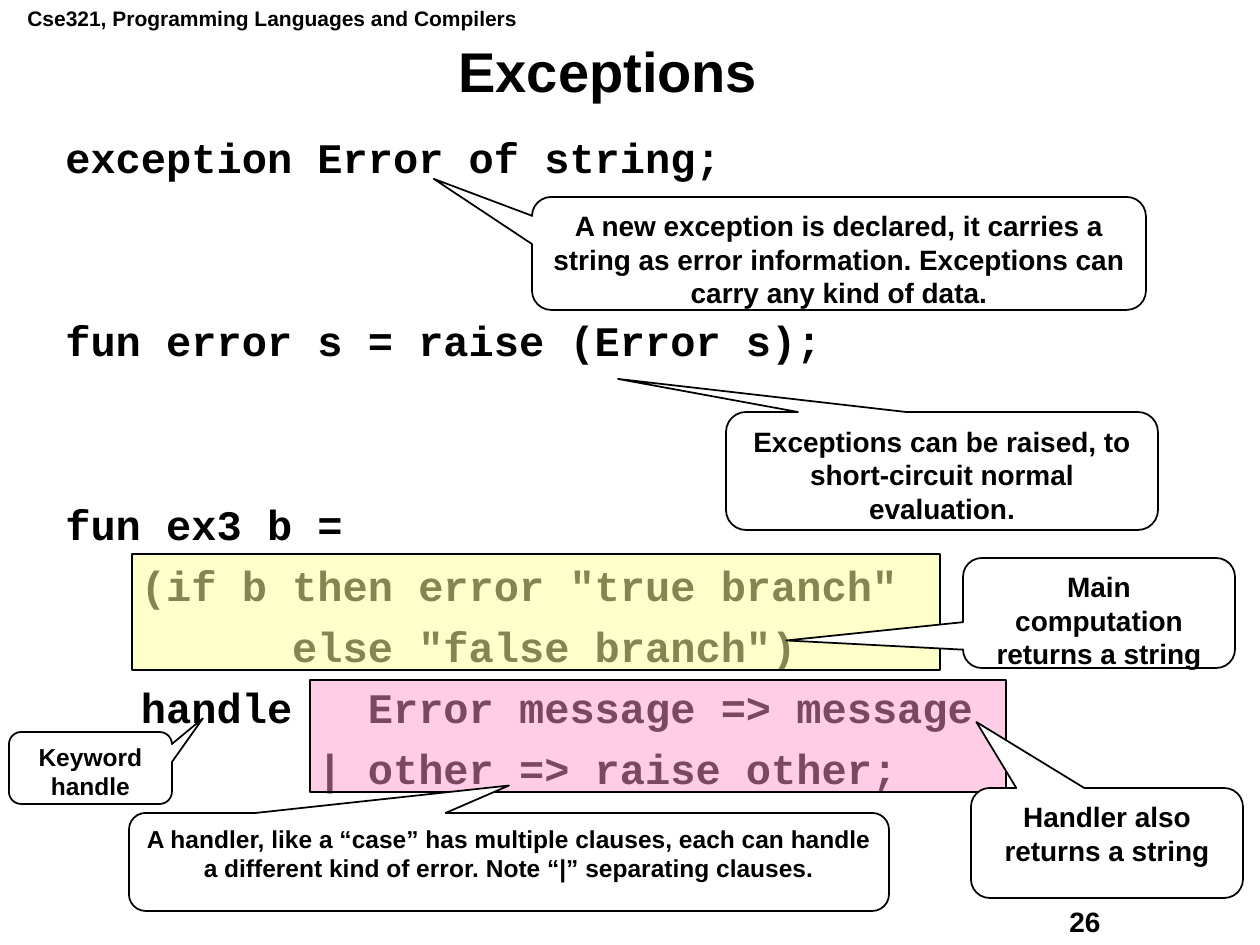
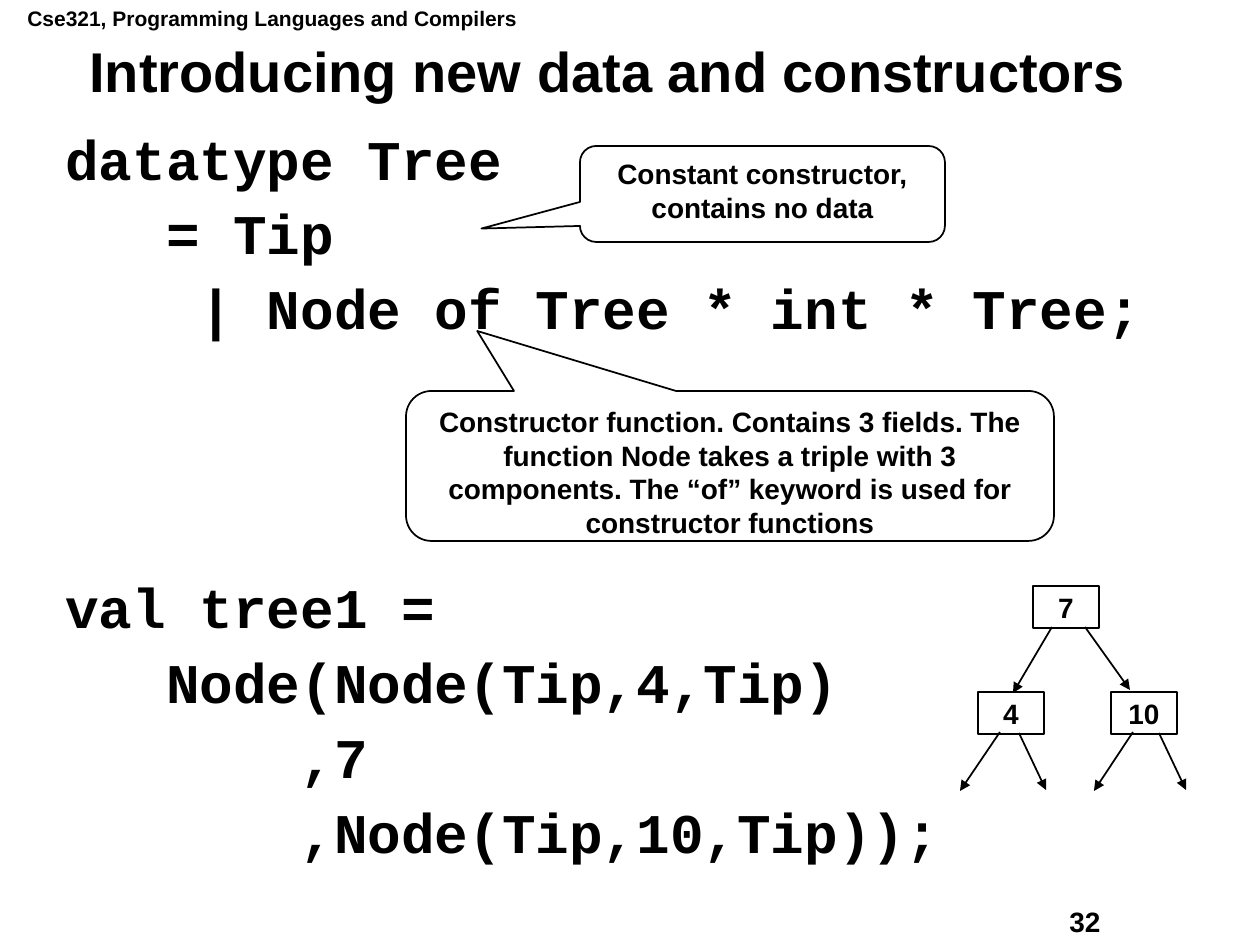
from lxml import etree
from pptx import Presentation
from pptx.dml.color import RGBColor
from pptx.enum.shapes import MSO_CONNECTOR, MSO_SHAPE
from pptx.enum.text import MSO_ANCHOR, PP_ALIGN
from pptx.oxml.ns import qn
from pptx.util import Emu, Pt

EMU_PER_PX = 914400 / 126
COLORS = {"ink": "000000", "paper": "FFFFFF", "computation": "FFFF99", "handler": "FF99CC"}
SANS, MONO = "Arial", "Courier New"
MONO_LINE_HEIGHT = 1.2

HEADER_BOX = (15, -1, 515, 38)
TITLE_BOX = (39, 39, 1138, 71)
CODE_BOX = (53, 131, 1124, 751)
NUMBER_BOX = (1057, 898, 160, 45)

EXCEPTION_CODE = [
    ["exception Error of string;"],
    ["fun error s = raise (Error s);"],
    [
        "fun ex3 b =",
        '   (if b then error "true branch"',
        '         else "false branch")',
        "   handle   Error message => message",
        "          | other => raise other;",
    ],
]
TREE_CODE = [
    ["datatype Tree", "   = Tip", "    | Node of Tree * int * Tree;"],
    ["val tree1 =", "   Node(Node(Tip,4,Tip)", "       ,7", "       ,Node(Tip,10,Tip));"],
]
EXCEPTION_CALLOUTS = [
    ((532, 197, 614, 113), (-0.66, -0.66), 16,
     "A new exception is declared, it carries a string as error information. "
     "Exceptions can carry any kind of data."),
    ((726, 412, 432, 118), (-0.75, -0.78), 16,
     "Exceptions can be raised, to short-circuit normal evaluation."),
    ((963, 558, 272, 110), (-1.15, 0.25), 16, "Main computation returns a string"),
    ((971, 788, 272, 110), (-0.48, -1.1), 16, "Handler also returns a string"),
    ((129, 813, 760, 98), (0, -0.78), 14,
     "A handler, like a “case” has multiple clauses, each can handle a different "
     "kind of error. Note “|” separating clauses."),
    ((9, 732, 163, 72), (0.69, -0.69), 14, "Keyword handle"),
]
TREE_CALLOUTS = [
    ((580, 146, 365, 96), (-0.77, 0.36), 16, "Constant constructor, contains no data"),
    ((406, 391, 648, 150), (-0.39, -0.9), 16,
     "Constructor function. Contains 3 fields. The function Node takes a triple with 3 "
     "components. The “of” keyword is used for constructor functions"),
]
HIGHLIGHTS = [
    ((132, 554, 808, 116), "computation", 52),
    ((310, 680, 696, 112), "handler", 48),
]
TREE_ORIGIN = (960, 586)
NODE_SIZE = (66, 42)
TREE_NODES = [("7", 73, 0), ("4", 18, 106), ("10", 151, 106)]
TREE_ARROWS = [
    (92, 41, 53, 107), (125, 41, 170, 104),
    (40, 146, 0, 205), (59, 147, 86, 204),
    (173, 146, 134, 205), (199, 147, 226, 204),
]


def px(*lengths):
    """Turn pixel lengths into EMU."""
    return [Emu(round(length * EMU_PER_PX)) for length in lengths]


def color(name):
    """Look up a named colour."""
    return RGBColor.from_string(COLORS[name])


def style_paragraph(para, size, font=SANS, align=PP_ALIGN.LEFT):
    """Apply bold dark type to every run of a paragraph."""
    para.alignment = align
    for span in para.runs:
        span.font.name = font
        span.font.size = Pt(size)
        span.font.bold = True
        span.font.color.rgb = color("ink")


def add_label(page, box, text, size, wrap=False):
    """Add a one-paragraph text box and return its frame."""
    frame = page.shapes.add_textbox(*px(*box)).text_frame
    frame.word_wrap = wrap
    frame.text = text
    style_paragraph(frame.paragraphs[0], size)
    return frame


def add_outlined(page, kind, box, fill="paper"):
    """Add a filled shape with a thin dark outline."""
    shape = page.shapes.add_shape(kind, *px(*box))
    shape.shadow.inherit = False
    shape.fill.solid()
    shape.fill.fore_color.rgb = color(fill)
    shape.line.color.rgb = color("ink")
    shape.line.width = Pt(1)
    return shape


def fill_shape_text(shape, text, size, anchor, wrap):
    """Write centred text into a shape."""
    frame = shape.text_frame
    frame.word_wrap = wrap
    frame.vertical_anchor = anchor
    frame.text = text
    style_paragraph(frame.paragraphs[0], size, align=PP_ALIGN.CENTER)


def add_page(deck, title, number):
    """Add a slide with the course header, title and page number."""
    page = deck.slides.add_slide(deck.slide_layouts[6])
    page.background.fill.solid()
    page.background.fill.fore_color.rgb = color("paper")
    add_label(page, HEADER_BOX, "Cse321, Programming Languages and Compilers", 12)
    add_label(page, NUMBER_BOX, number, 16)
    frame = add_label(page, TITLE_BOX, title, 32, wrap=True)
    frame.vertical_anchor = MSO_ANCHOR.MIDDLE
    frame.paragraphs[0].alignment = PP_ALIGN.CENTER
    frame.paragraphs[0].line_spacing = 0.9
    return page


def add_code(page, blocks, size, spacing, before, gap_lines):
    """Add code blocks set apart by a whole number of line steps."""
    frame = page.shapes.add_textbox(*px(*CODE_BOX)).text_frame
    frame.word_wrap = True
    frame.text = "\n".join(line for block in blocks for line in block)
    step = size * MONO_LINE_HEIGHT * spacing + before
    paragraphs = iter(frame.paragraphs)
    for block_index, block in enumerate(blocks):
        for line_index in range(len(block)):
            para = next(paragraphs)
            style_paragraph(para, size, MONO)
            para.line_spacing = spacing
            if line_index:
                para.space_before = Pt(before)
            elif block_index:
                para.space_before = Pt(round(before + gap_lines * step, 1))


def add_callouts(page, callouts):
    """Add rounded speech callouts with their pointers."""
    for box, pointer, size, text in callouts:
        shape = add_outlined(page, MSO_SHAPE.ROUNDED_RECTANGULAR_CALLOUT, box)
        shape.adjustments[0], shape.adjustments[1] = pointer
        shape.adjustments[2] = 0.17
        fill_shape_text(shape, text, size, MSO_ANCHOR.TOP, True)


def add_highlights(page):
    """Lay translucent rectangles over parts of the code."""
    for box, fill, opacity in HIGHLIGHTS:
        shape = add_outlined(page, MSO_SHAPE.RECTANGLE, box, fill)
        tint = shape._element.spPr.find(qn("a:solidFill"))[0]
        etree.SubElement(tint, qn("a:alpha")).set("val", str(opacity * 1000))


def add_arrow(page, start_x, start_y, end_x, end_y):
    """Add a straight line ending in a triangle."""
    arrow = page.shapes.add_connector(
        MSO_CONNECTOR.STRAIGHT, *px(start_x, start_y, end_x, end_y))
    arrow.line.color.rgb = color("ink")
    arrow.line.width = Pt(1)
    etree.SubElement(arrow.line._get_or_add_ln(), qn("a:tailEnd")).set("type", "triangle")
    etree.SubElement(arrow._element.spPr, qn("a:effectLst"))


def add_tree(page, origin):
    """Draw the binary tree relative to its top left corner."""
    left, top = origin
    for text, x, y in TREE_NODES:
        node = add_outlined(page, MSO_SHAPE.RECTANGLE, (left + x, top + y, *NODE_SIZE))
        fill_shape_text(node, text, 16, MSO_ANCHOR.MIDDLE, False)
    for start_x, start_y, end_x, end_y in TREE_ARROWS:
        add_arrow(page, left + start_x, top + start_y, left + end_x, top + end_y)


def build_exceptions(deck):
    """Build the slide on exceptions."""
    page = add_page(deck, "Exceptions", "26")
    add_code(page, EXCEPTION_CODE, size=24, spacing=0.9, before=9, gap_lines=2)
    add_callouts(page, EXCEPTION_CALLOUTS[:2])
    add_highlights(page)
    add_callouts(page, EXCEPTION_CALLOUTS[2:])


def build_constructors(deck):
    """Build the slide on data types and constructors."""
    page = add_page(deck, "Introducing new data and constructors", "32")
    add_code(page, TREE_CODE, size=32, spacing=0.8, before=12, gap_lines=3)
    add_callouts(page, TREE_CALLOUTS)
    add_tree(page, TREE_ORIGIN)


def main():
    """Build and save the deck."""
    deck = Presentation()
    deck.slide_width, deck.slide_height = px(1260, 945)
    build_exceptions(deck)
    build_constructors(deck)
    deck.save("out.pptx")


if __name__ == "__main__":
    main()
